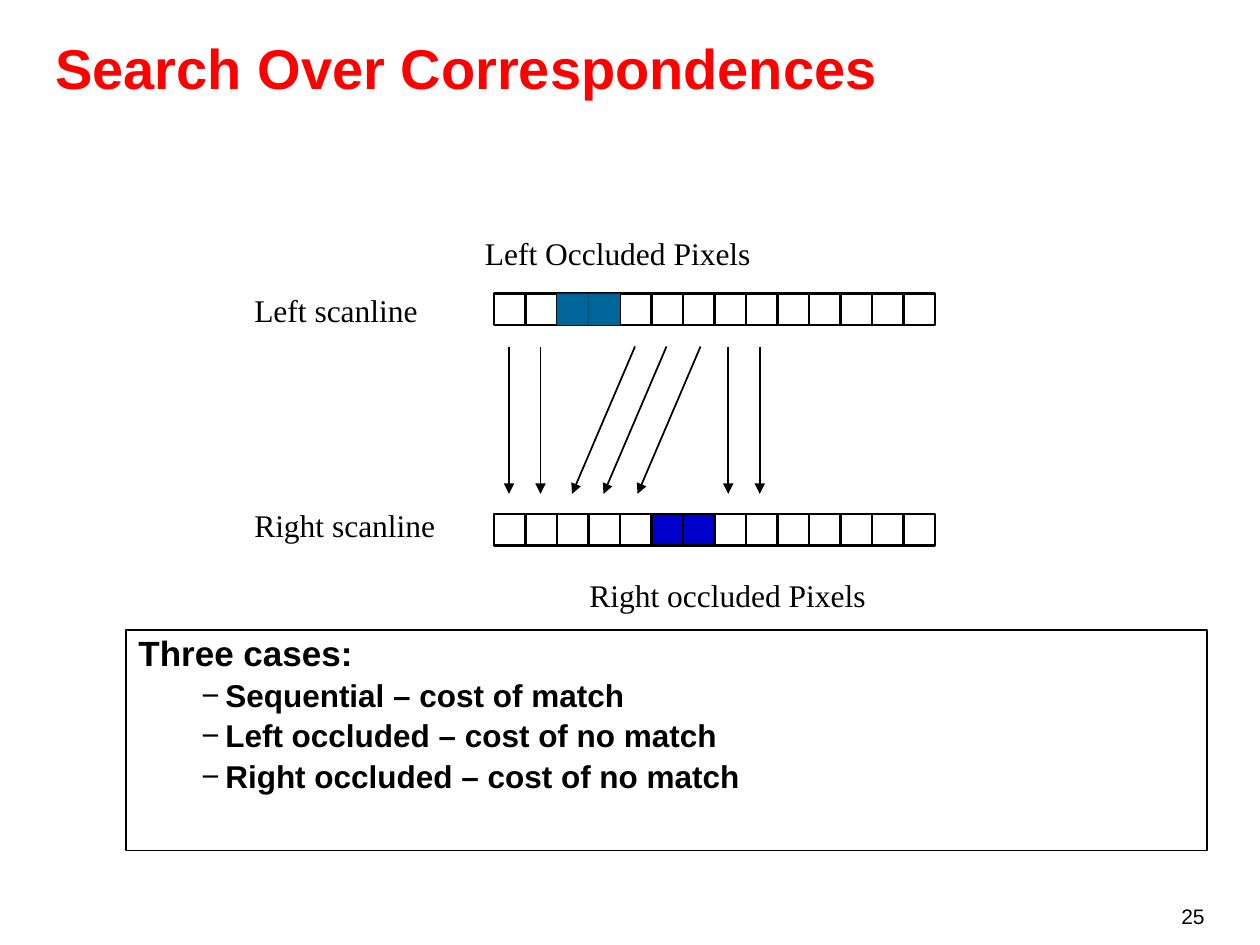
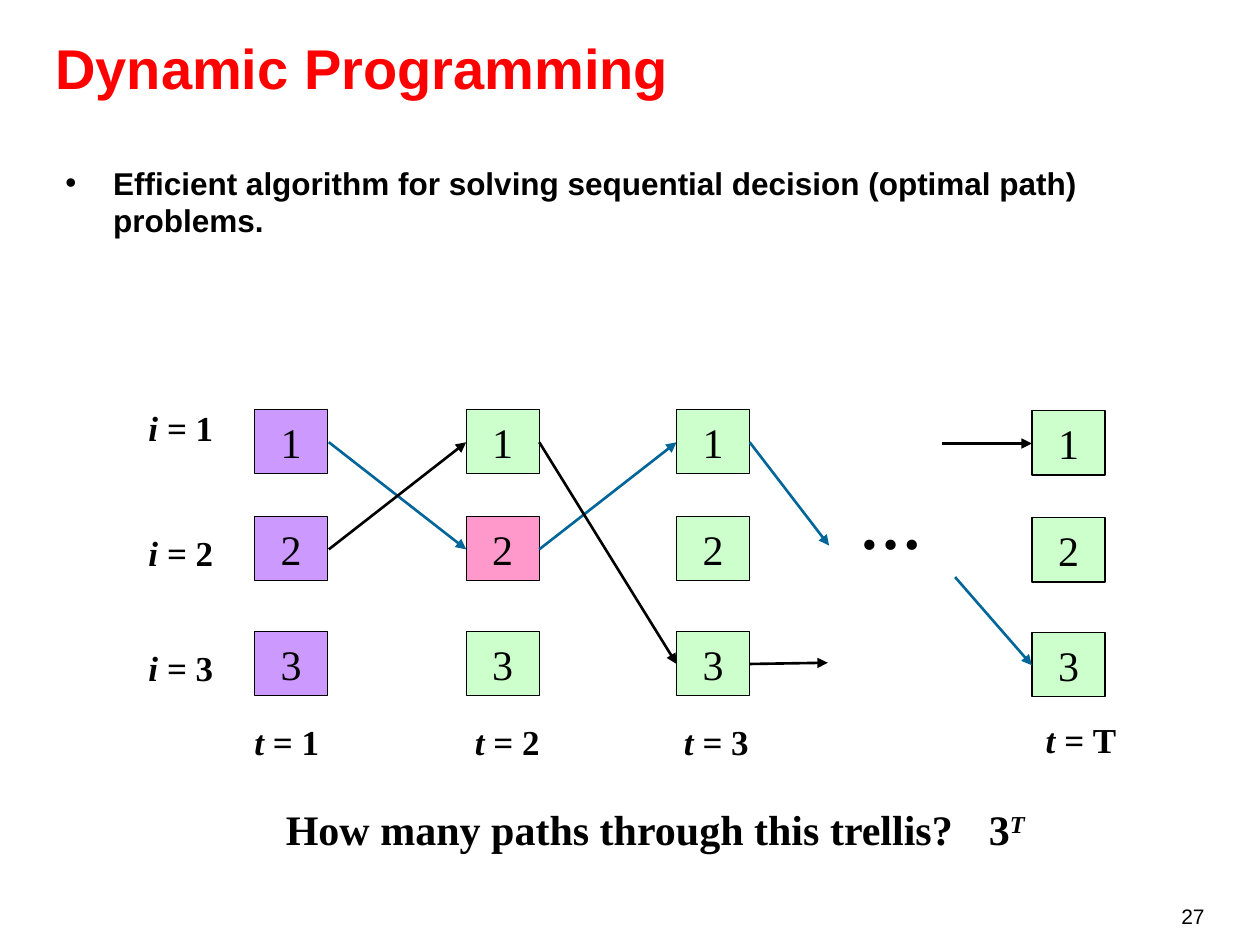
from itertools import product
from typing import NamedTuple

from lxml.etree import SubElement
from pptx import Presentation
from pptx.dml.color import RGBColor
from pptx.enum.shapes import MSO_CONNECTOR as Connector, MSO_SHAPE as Shape
from pptx.enum.text import MSO_ANCHOR as Anchor, MSO_AUTO_SIZE as AutoSize, PP_ALIGN as Align
from pptx.oxml.ns import qn
from pptx.util import Emu, Pt

EMU_PER_PX = 9144
SANS = "Arial"
SERIF = "Times New Roman"
COLORS = {
    "ink": "000000",
    "title": "FF0000",
    "teal": "006699",
    "blue": "0000CC",
    "violet": "CC99FF",
    "green": "CCFFCC",
    "pink": "FF99CC",
}

CELL = 25
CELL_COUNT = 14
SCANLINE_LEFT = 392
LEFT_ROW, RIGHT_ROW = 233, 408
MATCH_TOP, MATCH_BOTTOM = 275, 392

NODE_WIDTH, NODE_HEIGHT = 58, 51
NODE_TOPS = (325, 410, 501)
INDEX_WIDTH, INDEX_HEIGHT = 80, 43


class Area(NamedTuple):
    left: int
    top: int
    width: int
    height: int


class Arrow(NamedTuple):
    start: tuple[int, int]
    end: tuple[int, int]
    color: str = "ink"
    weight: float = 1.5


class Label(NamedTuple):
    text: str
    area: Area
    size: int = 18
    bold: bool = False


class Stage(NamedTuple):
    left: int
    fills: tuple[str, str, str]
    shift: int = 0


class IndexLabel(NamedTuple):
    variable: str
    value: str
    left: int
    top: int


SCANLINE_LABELS = (
    Label("Left scanline", Area(192, 226, 150, 40)),
    Label("Right scanline", Area(192, 397, 164, 40)),
    Label("Left Occluded Pixels", Area(375, 181, 231, 40)),
    Label("Right occluded Pixels", Area(458, 452, 240, 40)),
)
MATCHES = ((404, 404), (429, 429), (504, 454), (529, 479), (556, 506), (578, 578), (603, 603))
CASES = (
    "Sequential – cost of match",
    "Left occluded – cost of no match",
    "Right occluded – cost of no match",
)
STAGES = (
    Stage(202, ("violet",) * 3),
    Stage(370, ("green", "pink", "green")),
    Stage(537, ("green",) * 3),
    Stage(819, ("green",) * 3, shift=1),
)
PATHS = (
    Arrow((261, 351), (370, 436), "teal"),
    Arrow((428, 436), (537, 351), "teal"),
    Arrow((758, 458), (819, 528), "teal"),
    Arrow((595, 351), (658, 433), "teal"),
    Arrow((261, 436), (370, 351)),
    Arrow((428, 351), (537, 527)),
    Arrow((748, 352), (819, 352)),
    Arrow((595, 527), (657, 526)),
)
INDEX_LABELS = (
    IndexLabel("i", "1", 108, 318),
    IndexLabel("i", "2", 108, 417),
    IndexLabel("i", "3", 108, 508),
    IndexLabel("t", "1", 192, 567),
    IndexLabel("t", "2", 367, 567),
    IndexLabel("t", "3", 533, 567),
    IndexLabel("t", "T", 820, 565),
)
TRELLIS_LABELS = (
    Label("…", Area(672, 381, 70, 70), 36, True),
    Label("How many paths through this trellis?", Area(217, 633, 551, 50), 24, True),
)


def px(length: int) -> Emu:
    return Emu(length * EMU_PER_PX)


def paint(name: str) -> RGBColor:
    return RGBColor.from_string(COLORS[name])


def write_span(para, text: str, *, size: int, font: str = SERIF, color: str = "ink",
               bold: bool = False, italic: bool = False, raised: int = 0) -> None:
    span = para.add_run()
    span.text = text
    span.font.name = font
    span.font.size = Pt(size)
    span.font.bold = bold
    span.font.italic = italic
    span.font.color.rgb = paint(color)
    if raised:
        span._r.get_or_add_rPr().set("baseline", str(raised * 1000))


def add_text_box(page, area: Area, *, wrap: bool = False, anchor: Anchor = Anchor.TOP):
    box = page.shapes.add_textbox(*map(px, area))
    frame = box.text_frame
    frame.word_wrap = wrap
    frame.auto_size = AutoSize.NONE if wrap else AutoSize.SHAPE_TO_FIT_TEXT
    frame.vertical_anchor = anchor
    return frame


def add_box(page, area: Area, *, fill: str = "", weight: float = 0.0):
    box = page.shapes.add_shape(Shape.RECTANGLE, *map(px, area))
    box.shadow.inherit = False
    if fill:
        box.fill.solid()
        box.fill.fore_color.rgb = paint(fill)
    else:
        box.fill.background()
    if weight:
        box.line.color.rgb = paint("ink")
        box.line.width = Pt(weight)
    else:
        box.line.fill.background()
    return box


def add_arrow(page, arrow: Arrow) -> None:
    line = page.shapes.add_connector(Connector.STRAIGHT, *map(px, arrow.start + arrow.end))
    line.line.color.rgb = paint(arrow.color)
    line.line.width = Pt(arrow.weight)
    SubElement(line.line._get_or_add_ln(), qn("a:tailEnd"), type="triangle")
    SubElement(line._element.spPr, qn("a:effectLst"))


def add_label(page, label: Label) -> None:
    para = add_text_box(page, label.area).paragraphs[0]
    write_span(para, label.text, size=label.size, bold=label.bold)


def set_indent(para, left: int, hanging: int, bullet: str = "") -> None:
    properties = para._p.get_or_add_pPr()
    properties.set("marL", str(px(left)))
    properties.set("indent", str(px(-hanging)))
    if bullet:
        SubElement(properties, qn("a:buFont"), typeface=SANS)
        SubElement(properties, qn("a:buChar"), char=bullet)
    else:
        SubElement(properties, qn("a:buNone"))


def add_page(deck, title: str, number: int):
    page = deck.slides.add_slide(deck.slide_layouts[6])
    footer = add_text_box(page, Area(783, 692, 183, 50), wrap=True, anchor=Anchor.BOTTOM)
    footer.paragraphs[0].alignment = Align.RIGHT
    write_span(footer.paragraphs[0], str(number), size=12, font=SANS)
    heading = add_text_box(page, Area(34, 22, 932, 63), wrap=True, anchor=Anchor.BOTTOM)
    write_span(heading.paragraphs[0], title, size=32, font=SANS, color="title", bold=True)
    return page


def add_cells(page, top: int, columns, *, fill: str = "", weight: float = 1.5) -> None:
    for column in columns:
        area = Area(SCANLINE_LEFT + column * CELL, top, CELL, CELL)
        add_box(page, area, fill=fill, weight=weight)


def add_cases(page) -> None:
    frame = add_box(page, Area(100, 500, 858, 175), weight=0.75).text_frame
    frame.word_wrap = True
    frame.vertical_anchor = Anchor.TOP
    for index, text in enumerate(("Three cases:",) + CASES):
        para = frame.add_paragraph() if index else frame.paragraphs[0]
        size = 18 if index else 20
        para.alignment = Align.LEFT
        para.line_spacing = 0.9
        para.space_before = Pt(size * 0.2)
        if index:
            para.level = 1
            set_indent(para, 69, 19, "−")
        else:
            set_indent(para, 25, 25)
        write_span(para, text, size=size, font=SANS, bold=True)


def build_correspondences(deck) -> None:
    page = add_page(deck, "Search Over Correspondences", 25)
    add_cases(page)
    occluded = (5, 6)
    add_cells(page, LEFT_ROW, range(CELL_COUNT))
    add_cells(page, LEFT_ROW, (2, 3), fill="teal", weight=0)
    add_cells(page, RIGHT_ROW, (n for n in range(CELL_COUNT) if n not in occluded))
    add_cells(page, RIGHT_ROW, occluded, fill="blue")
    for label in SCANLINE_LABELS:
        add_label(page, label)
    for left_pixel, right_pixel in MATCHES:
        add_arrow(page, Arrow((left_pixel, MATCH_TOP), (right_pixel, MATCH_BOTTOM), weight=1))


def add_node(page, stage: Stage, row: int) -> None:
    area = Area(stage.left, NODE_TOPS[row] + stage.shift, NODE_WIDTH, NODE_HEIGHT)
    frame = add_box(page, area, fill=stage.fills[row], weight=0.75).text_frame
    frame.vertical_anchor = Anchor.MIDDLE
    frame.paragraphs[0].alignment = Align.CENTER
    write_span(frame.paragraphs[0], str(row + 1), size=24)


def add_index_label(page, label: IndexLabel) -> None:
    area = Area(label.left, label.top, INDEX_WIDTH, INDEX_HEIGHT)
    para = add_text_box(page, area, wrap=True).paragraphs[0]
    write_span(para, f"{label.variable} = ", size=20, bold=True, italic=True)
    write_span(para, label.value, size=20, bold=True)


def build_trellis(deck) -> None:
    page = add_page(deck, "Dynamic Programming", 27)
    para = add_text_box(page, Area(42, 125, 894, 144), wrap=True).paragraphs[0]
    para.space_before = Pt(3.6)
    set_indent(para, 38, 38, "•")
    write_span(para, "Efficient algorithm for solving sequential decision (optimal path) problems.",
               size=18, font=SANS, bold=True)
    for stage, row in product(STAGES, range(len(NODE_TOPS))):
        add_node(page, stage, row)
    for label in TRELLIS_LABELS:
        add_label(page, label)
    for path in PATHS:
        add_arrow(page, path)
    for index_label in INDEX_LABELS:
        add_index_label(page, index_label)
    answer = add_text_box(page, Area(775, 633, 71, 50), wrap=True).paragraphs[0]
    write_span(answer, "3", size=24, bold=True)
    write_span(answer, "T", size=24, bold=True, italic=True, raised=30)


def main() -> None:
    deck = Presentation()
    deck.slide_width, deck.slide_height = px(1000), px(750)
    build_correspondences(deck)
    build_trellis(deck)
    deck.save("out.pptx")


if __name__ == "__main__":
    main()
